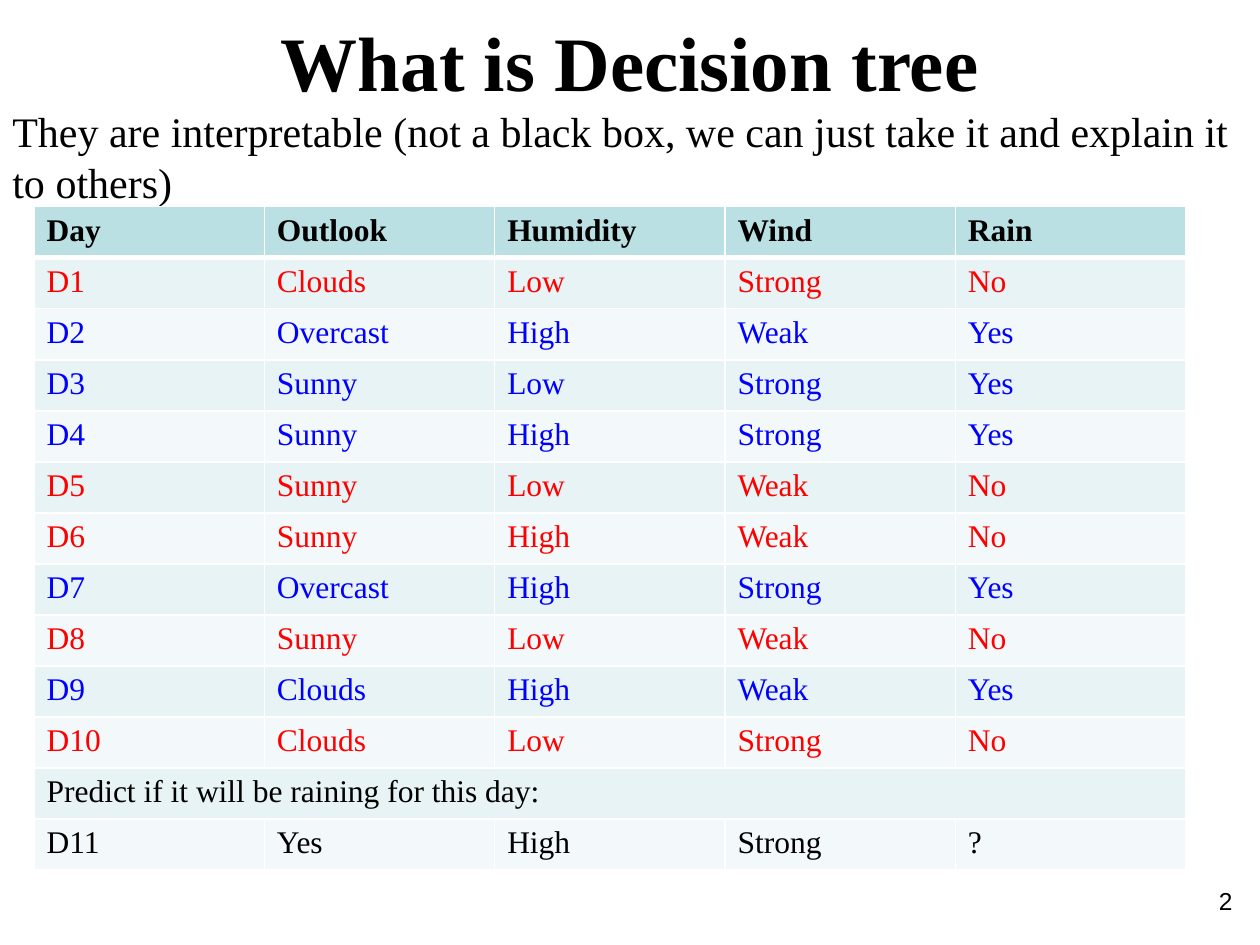
"""Build the decision tree slide with its weather table."""
from pptx import Presentation
from pptx.dml.color import RGBColor
from pptx.enum.text import PP_ALIGN as Align
from pptx.oxml import parse_xml
from pptx.oxml.ns import nsdecls
from pptx.util import Inches, Pt

SERIF = "Times New Roman"
BLACK, RED, BLUE, WHITE = "000000", "FF0000", "0000FF", "FFFFFF"
HEADER_FILL, BAND_FILLS = "BBE0E3", ("F3F9FA", "E7F3F4")


def write(frame, text, size=18, font=SERIF, color=BLACK, bold=False, align=Align.LEFT):
    """Put one formatted paragraph into a text frame."""
    frame.word_wrap = True
    paragraph = frame.paragraphs[0]
    paragraph.alignment = align
    run = paragraph.add_run()
    run.text = text
    run.font.size = Pt(size)
    run.font.name = font
    run.font.bold = bold
    run.font.color.rgb = RGBColor.from_string(color)


def style_cell(cell, fill, bottom_width):
    """Give a cell white borders and a solid fill."""
    properties = cell._tc.get_or_add_tcPr()
    for side, width in (("L", 1), ("R", 1), ("T", 1), ("B", bottom_width)):
        properties.append(parse_xml(
            f'<a:ln{side} {nsdecls("a")} w="{Pt(width)}"><a:solidFill>'
            f'<a:srgbClr val="{WHITE}"/></a:solidFill></a:ln{side}>'))
    cell.fill.solid()
    cell.fill.fore_color.rgb = RGBColor.from_string(fill)


presentation = Presentation()
presentation.slide_width, presentation.slide_height = Inches(10), Inches(7.5)
slide = presentation.slides.add_slide(presentation.slide_layouts[6])

texts = [
    ("What is Decision tree", (0, 0.07, 10, 0.84),
     dict(size=44, bold=True, align=Align.CENTER)),
    ("2", (7.55, 6.98, 2.33, 0.52), dict(size=14, font="Arial", align=Align.RIGHT)),
    ("They are interpretable (not a black box, we can just take it and explain it to others)",
     (0, 0.79, 10, 0.91), dict(size=24)),
]
for text, box, text_format in texts:
    textbox = slide.shapes.add_textbox(*map(Inches, box))
    write(textbox.text_frame, text, **text_format)

rows = [line.split() for line in (
    "Day Outlook Humidity Wind Rain",
    "D1 Clouds Low Strong No",
    "D2 Overcast High Weak Yes",
    "D3 Sunny Low Strong Yes",
    "D4 Sunny High Strong Yes",
    "D5 Sunny Low Weak No",
    "D6 Sunny High Weak No",
    "D7 Overcast High Strong Yes",
    "D8 Sunny Low Weak No",
    "D9 Clouds High Weak Yes",
    "D10 Clouds Low Strong No",
)]
rows.append(["Predict if it will be raining for this day:"])
rows.append(["D11", "Yes", "High", "Strong", "?"])
answer_colors = {"Yes": BLUE, "No": RED}

table = slide.shapes.add_table(
    len(rows), len(rows[0]), Inches(0.27), Inches(1.64), Inches(9.14), Inches(5.27)).table
for row_index, values in enumerate(rows):
    is_header = row_index == 0
    fill = HEADER_FILL if is_header else BAND_FILLS[row_index % 2]
    color = answer_colors.get(values[-1], BLACK)
    for cell in table.rows[row_index].cells:
        style_cell(cell, fill, 3 if is_header else 1)
    for column_index, value in enumerate(values):
        write(table.cell(row_index, column_index).text_frame, value,
              color=color, bold=is_header)
    if len(values) == 1:
        table.cell(row_index, 0).merge(table.cell(row_index, len(rows[0]) - 1))

presentation.save("out.pptx")
